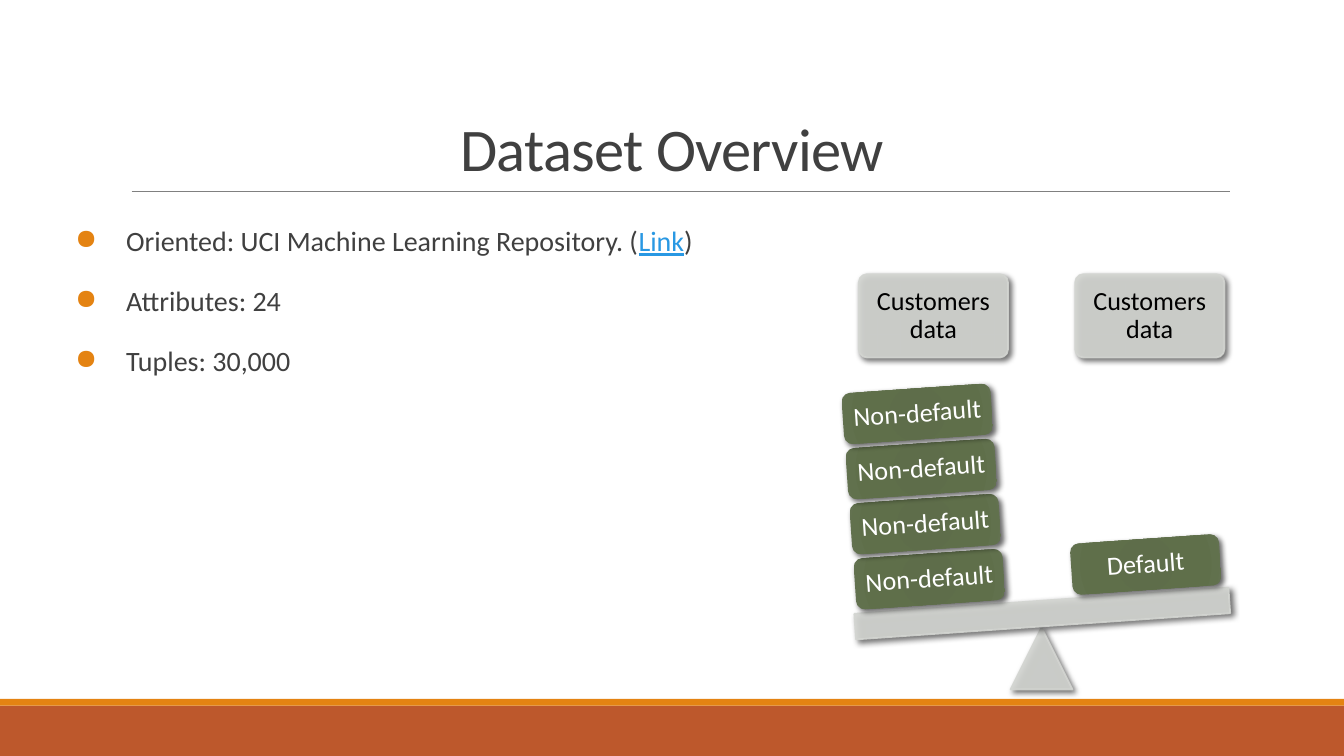
"""Build the dataset overview slide with its tilted balance of classes."""
from dataclasses import dataclass
from typing import Any, NamedTuple

from lxml import etree
from pptx import Presentation
from pptx.dml.color import RGBColor
from pptx.enum.shapes import MSO_CONNECTOR, MSO_SHAPE
from pptx.enum.text import MSO_ANCHOR, PP_ALIGN
from pptx.oxml import parse_xml
from pptx.oxml.ns import nsdecls, qn
from pptx.util import Inches, Pt

RECT = MSO_SHAPE.RECTANGLE
ROUND = MSO_SHAPE.ROUNDED_RECTANGLE
WEDGE = MSO_SHAPE.ISOSCELES_TRIANGLE
STRAIGHT = MSO_CONNECTOR.STRAIGHT
MIDDLE, TOP = MSO_ANCHOR.MIDDLE, MSO_ANCHOR.TOP
CENTER, LEFT = PP_ALIGN.CENTER, PP_ALIGN.LEFT

WHITE = RGBColor(0xFF, 0xFF, 0xFF)
BLACK = RGBColor(0x00, 0x00, 0x00)
DARK = RGBColor(0x40, 0x40, 0x40)
RULE = RGBColor(0x80, 0x80, 0x80)
RUST = RGBColor(0xBD, 0x58, 0x2C)
ORANGE = RGBColor(0xE4, 0x83, 0x12)
BLUE = RGBColor(0x29, 0x98, 0xE3)
GRAY = RGBColor(0xD3, 0xD5, 0xD1)
MOSS = {
    0: RGBColor(0x5D, 0x6D, 0x48),
    34: RGBColor(0x5E, 0x6D, 0x4A),
    70: RGBColor(0x5F, 0x6F, 0x4A),
    100: RGBColor(0x63, 0x72, 0x50),
}

WIDTH, HEIGHT = Inches(10), Inches(5.625)
COLS, ROWS = 100, 56.25
TILT = 356
FACE = "Calibri"


class Box(NamedTuple):
    """Left, top, width and height in grid columns and rows."""
    col: float
    row: float
    wide: float
    high: float

    def place(self) -> tuple[int, ...]:
        """Turn grid cells into slide lengths."""
        return (across(self.col), down(self.row), across(self.wide), down(self.high))


@dataclass
class Block:
    """One gray or green part of the balance."""
    box: Box
    kind: Any
    text: str = ""
    green: bool = False
    tilt: float = 0


def across(cols: float) -> int:
    """Return the length of some grid columns."""
    return round(WIDTH * cols / COLS)


def down(rows: float) -> int:
    """Return the length of some grid rows."""
    return round(HEIGHT * rows / ROWS)


def style(item: Any, values: dict[str, Any]) -> None:
    """Set each named format value on an item."""
    for name, value in values.items():
        setattr(item, name, value)


def write(para: Any, text: str, size: float, color: RGBColor, line: bool = False) -> Any:
    """Add a run of text to a paragraph."""
    run = para.add_run()
    run.text = text
    style(run.font, {"name": FACE, "size": Pt(size), "underline": line})
    run.font.color.rgb = color
    return run


def frame(shape: Any, pad: float, anchor: Any) -> Any:
    """Prepare the text frame of a shape."""
    body = shape.text_frame
    pads = {f"margin_{side}": Inches(pad) for side in ("left", "top", "right", "bottom")}
    style(body, {"word_wrap": True, "vertical_anchor": anchor, **pads})
    return body


def band(slide: Any, box: Box, color: RGBColor) -> None:
    """Draw a plain band along the foot of the slide."""
    shape = slide.shapes.add_shape(RECT, *box.place())
    shape.shadow.inherit = False
    shape.fill.solid()
    shape.fill.fore_color.rgb = color
    shape.line.fill.background()


def rule(slide: Any, start: float, end: float, row: float) -> None:
    """Draw the thin line below the title."""
    line = slide.shapes.add_connector(STRAIGHT, across(start), down(row), across(end), down(row))
    line.line.color.rgb = RULE
    line.line.width = Pt(0.5)
    etree.SubElement(line._element.spPr, qn("a:effectLst"))


def title(slide: Any, box: Box, text: str) -> None:
    """Write the slide title."""
    body = frame(slide.shapes.add_textbox(*box.place()), 0.1, MIDDLE)
    para = body.paragraphs[0]
    style(para, {"alignment": CENTER, "line_spacing": 0.85})
    write(para, text, 32.4, DARK)._r.get_or_add_rPr().set("spc", "-40")


def points(slide: Any, box: Box, items: list[list[str]]) -> None:
    """Write the bullet list, with every second run shown as a link."""
    body = frame(slide.shapes.add_textbox(*box.place()), 0.1, TOP)
    for index, parts in enumerate(items):
        para = body.add_paragraph() if index else body.paragraphs[0]
        gap = Pt(16 if index else 0)
        style(para, {"alignment": LEFT, "line_spacing": 0.9, "space_before": gap})
        props = para._p.get_or_add_pPr()
        props.set("marL", str(Inches(0.5)))
        props.set("indent", str(Inches(-0.38)))
        tint = etree.SubElement(props, qn("a:buClr"))
        etree.SubElement(tint, qn("a:srgbClr"), val=str(ORANGE))
        etree.SubElement(props, qn("a:buChar"), char="●")
        for place, text in enumerate(parts):
            link = place % 2 == 1
            write(para, text, 15, BLUE if link else DARK, link)


def shade(shape: Any) -> None:
    """Give a shape a soft shadow to the lower right."""
    shape.shadow.inherit = False
    shape._element.spPr.find(qn("a:effectLst")).append(parse_xml(
        f'<a:outerShdw {nsdecls("a")} blurRad="{Pt(3)}" dist="{Pt(2)}" dir="2700000" '
        'rotWithShape="0"><a:srgbClr val="000000"><a:alpha val="60000"/>'
        "</a:srgbClr></a:outerShdw>"))


def moss(shape: Any) -> None:
    """Fill a shape with the round green gradient."""
    stops = "".join(
        f'<a:gs pos="{share * 1000}"><a:srgbClr val="{color}"/></a:gs>'
        for share, color in MOSS.items())
    shape.fill.background()
    props = shape._element.spPr
    props.replace(props.find(qn("a:noFill")), parse_xml(
        f'<a:gradFill {nsdecls("a")}><a:gsLst>{stops}</a:gsLst><a:path path="circle">'
        '<a:fillToRect l="100000" t="100000" r="100000" b="100000"/></a:path></a:gradFill>'))
    shape.line.fill.background()


def stone(shape: Any) -> None:
    """Fill and outline a shape in slightly clear gray."""
    shape.fill.solid()
    shape.fill.fore_color.rgb = GRAY
    shape.line.color.rgb = GRAY
    shape.line.width = Pt(1)
    for color in shape._element.spPr.iter(qn("a:srgbClr")):
        etree.SubElement(color, qn("a:alpha"), val="90000")


def draw(slide: Any, block: Block) -> None:
    """Draw one part of the balance with its label."""
    shape = slide.shapes.add_shape(block.kind, *block.box.place())
    shape.rotation = block.tilt
    (moss if block.green else stone)(shape)
    shade(shape)
    if block.text:
        if not block.green:
            shape.adjustments[0] = 0.1
        para = frame(shape, 0.06, MIDDLE).paragraphs[0]
        style(para, {"alignment": CENTER, "line_spacing": 0.9})
        write(para, block.text, 14, WHITE if block.green else BLACK)


def main() -> None:
    """Build and save the slide."""
    deck = Presentation()
    style(deck, {"slide_width": WIDTH, "slide_height": HEIGHT})
    slide = deck.slides.add_slide(deck.slide_layouts[6])
    band(slide, Box(0, 52.5, COLS, ROWS - 52.5), RUST)
    band(slide, Box(0, 52, COLS, 0.5), ORANGE)
    rule(slide, 9.8, 91.5, 14.25)
    title(slide, Box(3.4, 8.2, 93.2, 6.3), "Dataset Overview")
    points(slide, Box(3.4, 15.9, 88.4, 32.1), [
        ["Oriented: UCI Machine Learning Repository. (", "Link", ")"],
        ["Attributes: 24"],
        ["Tuples: 30,000"],
    ])
    heads = [Block(Box(col, 20.4, 11.1, 6.2), ROUND, "Customers data") for col in (63.9, 80)]
    base = [Block(Box(75.2, 46.7, 4.6, 4.6), WEDGE),
            Block(Box(63.6, 44.7, 27.9, 1.9), RECT, tilt=TILT)]
    stack = [Block(Box(63.6 - 0.3 * step, 41.2 - 4.1 * step, 11.1, 3.8),
                   ROUND, "Non-default", True, TILT) for step in range(4)]
    lone = Block(Box(79.7, 40.1, 11.1, 3.8), ROUND, "Default", True, TILT)
    for block in [*heads, *base, *stack, lone]:
        draw(slide, block)
    deck.save("out.pptx")


if __name__ == "__main__":
    main()
